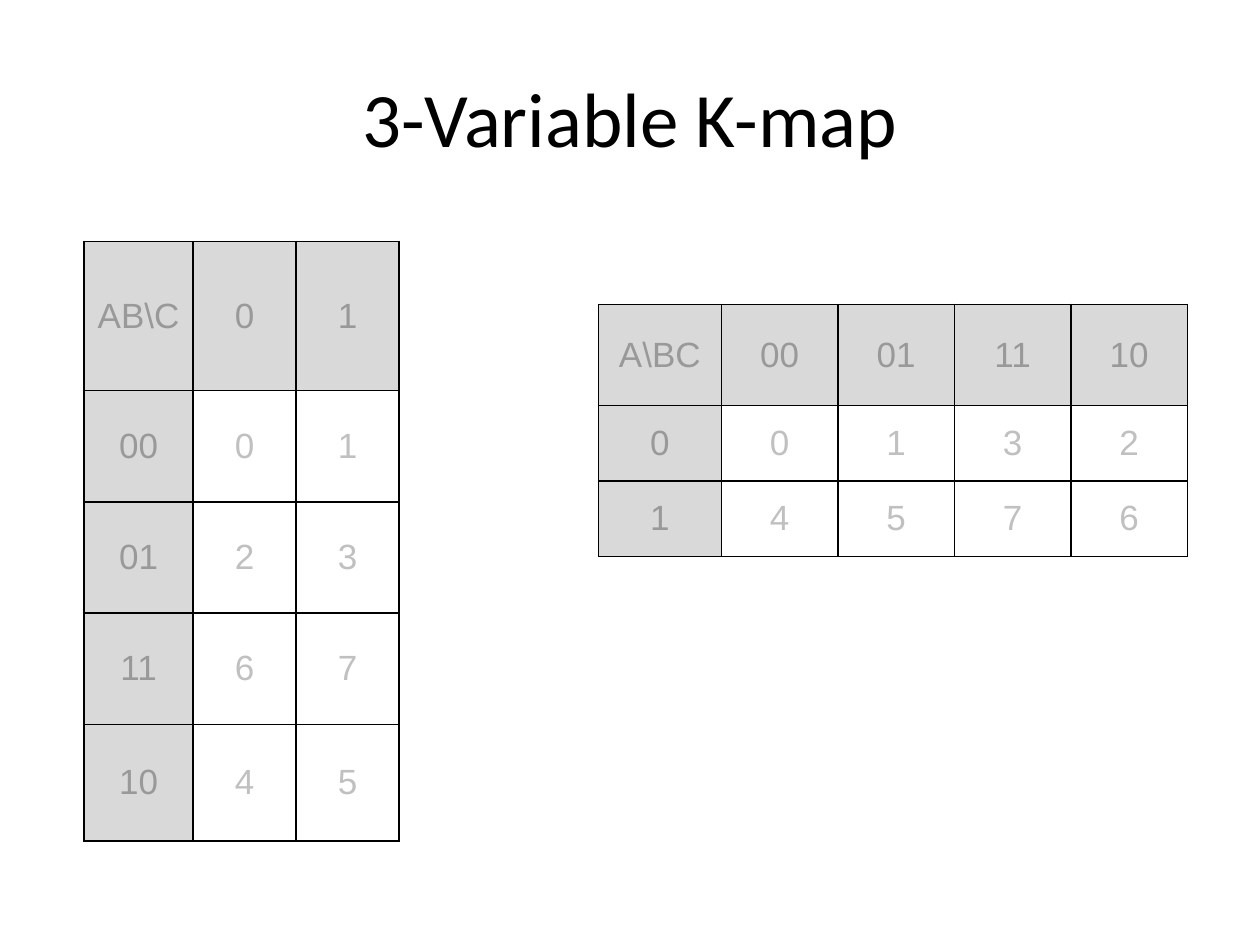
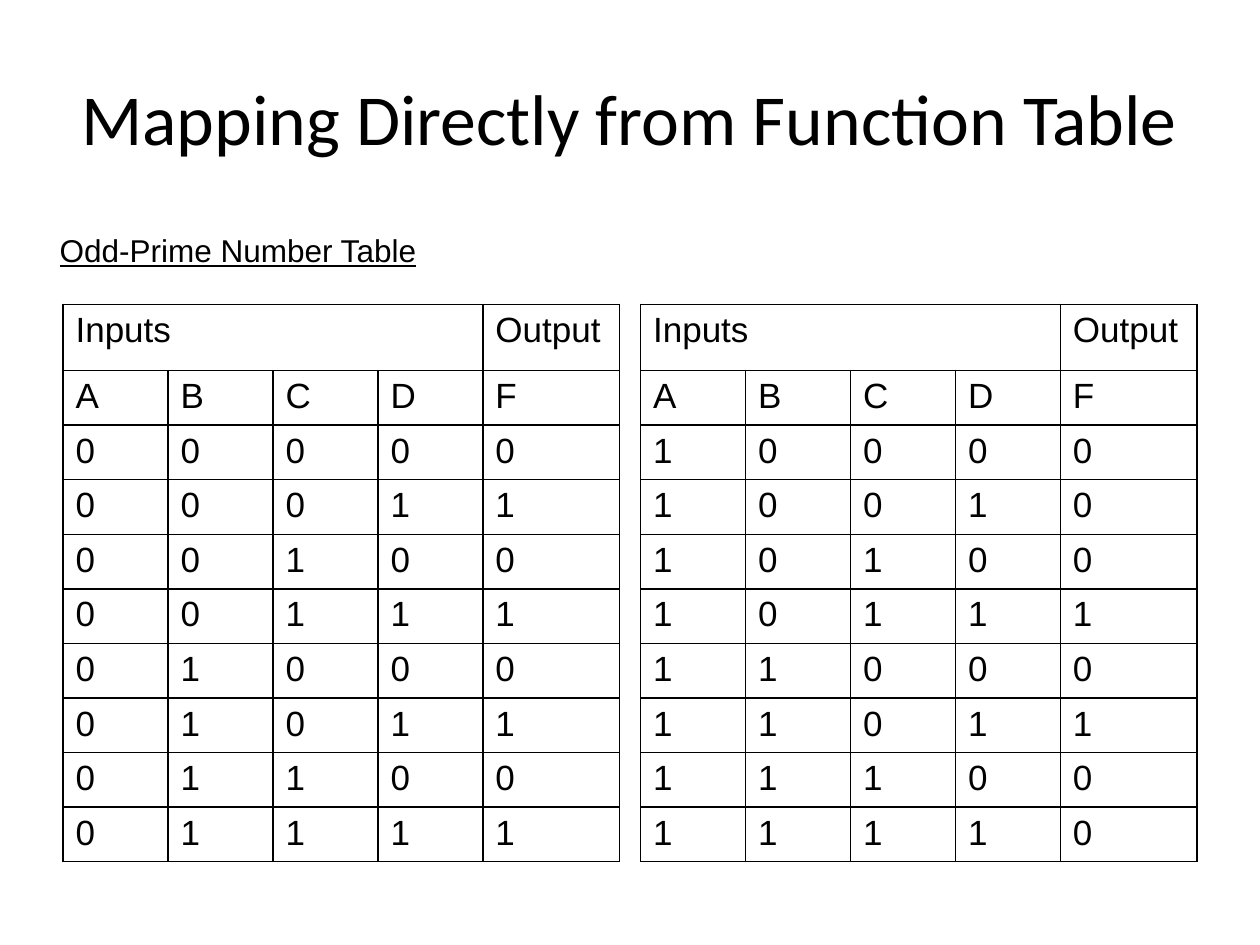
from dataclasses import dataclass
from itertools import product

from lxml.etree import SubElement
from pptx import Presentation
from pptx.dml.color import RGBColor as RGB
from pptx.enum.text import MSO_ANCHOR as ANCHOR, MSO_AUTO_SIZE as AUTO, PP_ALIGN as ALIGN
from pptx.oxml.ns import qn
from pptx.util import Inches, Pt


@dataclass(frozen=True)
class Theme:
    heading_font: str = "Calibri"
    body_font: str = "Arial"
    ink: str = "000000"
    header_fill: str = "D9D9D9"
    header_ink: str = "999999"
    value_ink: str = "C0C0C0"
    title_size: int = 44
    long_title_size: int = 41
    cell_size: int = 20
    caption_size: int = 18
    border: int = 1


THEME = Theme()
GRID_STEP = Inches(1) / 12  # the slide is 120 columns by 90 rows
GRAY = {1: ["0", "1"], 2: ["00", "01", "11", "10"]}
ODD_PRIMES = {1, 3, 5, 7, 11, 13}


def grid(n):
    return round(n * GRID_STEP)


def box(*units):
    return [grid(n) for n in units]


def add_run(p, text, size, color=THEME.ink, font=THEME.body_font):
    r = p.add_run()
    r.text = text
    r.font.size = Pt(size)
    r.font.name = font
    r.font.color.rgb = RGB.from_string(color)
    return r


def add_titled_slide(prs, title, size=THEME.title_size):
    slide = prs.slides.add_slide(prs.slide_layouts[5])
    sp = slide.shapes.title
    sp.left, sp.top, sp.width, sp.height = box(6, 3.6, 108, 15)
    tf = sp.text_frame
    tf.auto_size = AUTO.NONE
    tf.vertical_anchor = ANCHOR.MIDDLE
    p = tf.paragraphs[0]
    p.alignment = ALIGN.CENTER
    add_run(p, title, size, font=THEME.heading_font)
    return slide


def add_caption(slide, text, left, top, width, height):
    tf = slide.shapes.add_textbox(*box(left, top, width, height)).text_frame
    tf.word_wrap = True
    add_run(tf.paragraphs[0], text, THEME.caption_size).font.underline = True


def add_borders(cell):
    tc_pr = cell._tc.get_or_add_tcPr()
    for side in ("lnL", "lnR", "lnT", "lnB"):
        ln = SubElement(tc_pr, qn(f"a:{side}"), w=str(Pt(THEME.border)))
        SubElement(SubElement(ln, qn("a:solidFill")), qn("a:srgbClr"), val=THEME.ink)


def add_bare_table(slide, left, top, widths, heights):
    """Add a table without banding, sized in grid steps."""
    size = sum(widths), sum(heights)
    table = slide.shapes.add_table(len(heights), len(widths), *box(left, top, *size)).table
    table.first_row = table.horz_banding = False
    for column, width in zip(table.columns, widths):
        column.width = grid(width)
    for row, height in zip(table.rows, heights):
        row.height = grid(height)
    return table


def fill_cell(cell, text, align, anchor, color=THEME.ink, fill=None):
    add_borders(cell)
    if fill:
        cell.fill.solid()
        cell.fill.fore_color.rgb = RGB.from_string(fill)
    else:
        cell.fill.background()
    cell.vertical_anchor = anchor
    p = cell.text_frame.paragraphs[0]
    p.alignment = align
    add_run(p, text, THEME.cell_size, color)


def add_kmap(slide, row_vars, col_vars, left, top, widths, heights):
    """Number each cell by its minterm, with both axes in Gray code."""
    table = add_bare_table(slide, left, top, widths, heights)
    row_codes, col_codes = GRAY[len(row_vars)], GRAY[len(col_vars)]
    grid_text = [[f"{row_vars}\\{col_vars}", *col_codes]]
    grid_text += [[r, *(str(int(r + c, 2)) for c in col_codes)] for r in row_codes]
    for i, row in enumerate(grid_text):
        for j, text in enumerate(row):
            is_header = i == 0 or j == 0
            fill_cell(table.cell(i, j), text, ALIGN.CENTER, ANCHOR.MIDDLE,
                      THEME.header_ink if is_header else THEME.value_ink,
                      THEME.header_fill if is_header else None)


def add_truth_table(slide, first_bit, left, top):
    """List the half of the odd-prime function where A equals first_bit."""
    rows = [["Inputs", None, None, None, "Output"], list("ABCDF")]
    for bits in product("01", repeat=3):
        code = first_bit + "".join(bits)
        rows.append([*code, str(int(int(code, 2) in ODD_PRIMES))])
    heights = [6.3] + [5.2] * (len(rows) - 1)
    table = add_bare_table(slide, left, top, [10] * 4 + [13], heights)
    table.cell(0, 0).merge(table.cell(0, 3))
    for i, row in enumerate(rows):
        for j, text in enumerate(row):
            if text is not None:
                fill_cell(table.cell(i, j), text, ALIGN.JUSTIFY, ANCHOR.TOP)


def main():
    prs = Presentation()
    prs.slide_width, prs.slide_height = Inches(10), Inches(7.5)

    slide = add_titled_slide(prs, "3-Variable K-map")
    add_kmap(slide, "AB", "C", 8, 23, [10.4, 9.8, 9.8], [14.2, 10.6, 10.6, 10.6, 11.1])
    add_kmap(slide, "A", "BC", 57, 29, [11.7] + [11.1] * 4, [9.6, 7.2, 7.2])

    slide = add_titled_slide(prs, "Mapping Directly from Function Table", THEME.long_title_size)
    add_truth_table(slide, "0", 6, 29)
    add_truth_table(slide, "1", 61, 29)
    add_caption(slide, "Odd-Prime Number Table", 4.5, 21.4, 50, 4.8)

    prs.save("out.pptx")


if __name__ == "__main__":
    main()
